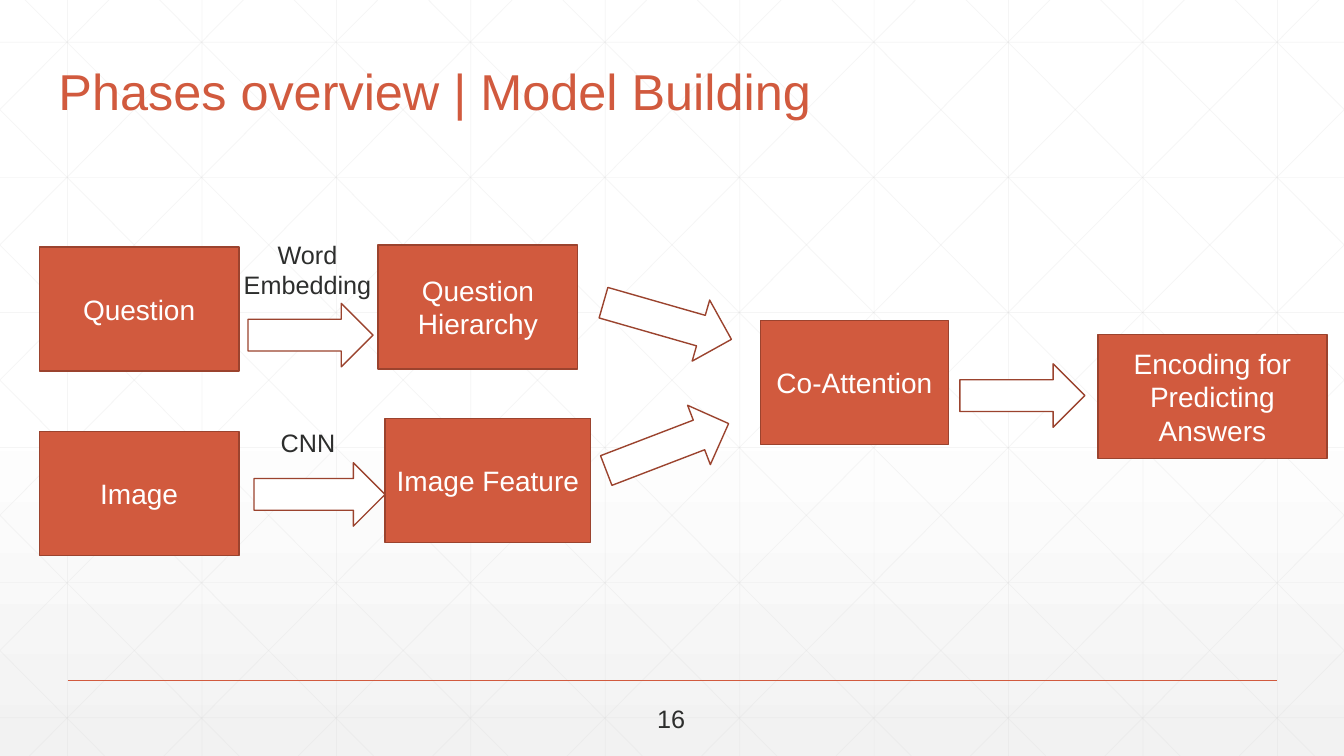
from pptx import Presentation
from pptx.dml.color import RGBColor
from pptx.enum.shapes import MSO_CONNECTOR as Conn, MSO_SHAPE as Shape
from pptx.enum.text import MSO_ANCHOR as Anchor, MSO_AUTO_SIZE as Fit, PP_ALIGN as Align
from pptx.util import Inches, Pt
from lxml import etree

WIDE, HIGH = 13.33, 7.5
FONT = "Arial"
RUST, BROWN, WHITE, DARK, GREY = "D15A3E", "9B432E", "FFFFFF", "2D2E2D", "D9D9D9"
NS = "http://schemas.openxmlformats.org/drawingml/2006/main"


def color(code):
    return RGBColor.from_string(code)


def place(*sizes):
    return [Inches(size) for size in sizes]


def write(frame, words, size, code, align=Align.CENTER):
    para = frame.paragraphs[0]
    para.alignment = align
    run = para.add_run()
    run.text = words
    run.font.name = FONT
    run.font.size = Pt(size)
    run.font.color.rgb = color(code)
    return para


def add_line(shapes, start, end, code, width, alpha=None):
    line = shapes.add_connector(Conn.STRAIGHT, *place(*start, *end))
    line.line.color.rgb = color(code)
    line.line.width = Pt(width)
    if alpha:
        tone = line.element.find(f".//{{{NS}}}srgbClr")
        etree.SubElement(tone, f"{{{NS}}}alpha", val=str(alpha * 1000))
    etree.SubElement(line.element.spPr, f"{{{NS}}}effectLst")


def add_block(shapes, kind, box, fill):
    block = shapes.add_shape(kind, *place(*box))
    block.shadow.inherit = False
    block.fill.solid()
    block.fill.fore_color.rgb = color(fill)
    block.line.color.rgb = color(BROWN)
    block.line.width = Pt(1)
    return block


def add_step(shapes, words, box):
    frame = add_block(shapes, Shape.RECTANGLE, box, RUST).text_frame
    frame.word_wrap = True
    frame.vertical_anchor = Anchor.MIDDLE
    write(frame, words, 20, WHITE)


def add_arrow(shapes, box, turn=0):
    add_block(shapes, Shape.RIGHT_ARROW, box, WHITE).rotation = turn


def add_label(shapes, words, box, wrap=True, align=Align.CENTER):
    frame = shapes.add_textbox(*place(*box)).text_frame
    frame.word_wrap = wrap
    frame.auto_size = Fit.SHAPE_TO_FIT_TEXT
    write(frame, words, 18, DARK, align)


def set_back(slide):
    fill = slide.background.fill
    fill.gradient()
    fill.gradient_angle = 270
    for stop, (spot, code) in zip(fill.gradient_stops, [(0.53, WHITE), (1, "F2F2F2")]):
        stop.position = spot
        stop.color.rgb = color(code)


def add_grid(slide):
    grid = slide.shapes.add_group_shape()
    pitch = 4 / 3
    lines = []
    for col in range(10):
        x = 0.67 + col * pitch
        lines.append(((x, 0), (x, HIGH)))
    for row in range(6):
        y = 0.42 + row * 1.34
        lines.append(((0, y), (WIDE, y)))
    # Diagonals are clipped to the slide, then mirrored
    slope = HIGH / 7.455
    for step in range(-5, 10):
        base = 0.25 + step * pitch
        left, right = max(base, 0), min(base + 7.455, WIDE)
        top, foot = (left - base) * slope, (right - base) * slope
        lines.append(((left, top), (right, foot)))
        lines.append(((WIDE - left, top), (WIDE - right, foot)))
    for start, end in lines:
        add_line(grid.shapes, start, end, GREY, 0.5, 25)
    return grid


def set_title(title, words):
    title.left, title.top, title.width, title.height = place(0.48, 0.53, 10.5, 1.25)
    frame = title.text_frame
    frame.word_wrap = True
    frame.auto_size = Fit.NONE
    frame.vertical_anchor = Anchor.BOTTOM
    frame.margin_bottom = Inches(0.57)
    write(frame, words, 36, RUST, Align.LEFT).line_spacing = 0.9


def main():
    deck = Presentation()
    deck.slide_width, deck.slide_height = place(WIDE, HIGH)
    slide = deck.slides.add_slide(deck.slide_layouts[5])
    shapes = slide.shapes

    # Backdrop, with the title in front of the grid
    set_back(slide)
    grid = add_grid(slide)
    add_line(shapes, (0.67, 6.75), (12.67, 6.75), RUST, 1)
    title = shapes.title
    grid.element.addnext(title.element)
    set_title(title, "Phases overview | Model Building")

    # Model steps: left, top, width
    tall = 1.23
    for words, left, top, width in [
        ("Question", 0.39, 2.45, 1.98),
        ("Image", 0.39, 4.28, 1.98),
        ("Question Hierarchy", 3.75, 2.43, 1.98),
        ("Image Feature", 3.82, 4.15, 2.04),
        ("Co-Attention", 7.54, 3.18, 1.87),
        ("Encoding for Predicting Answers", 10.89, 3.32, 2.27),
    ]:
        add_step(shapes, words, (left, top, width, tall))

    # Arrows between steps: left, top, width, turn
    for left, top, width, turn in [
        (2.46, 3.01, 1.24, 0),
        (2.52, 4.59, 1.3, 0),
        (5.96, 2.87, 1.32, 16),
        (5.97, 4.12, 1.3, 339),
        (9.52, 3.61, 1.24, 0),
    ]:
        add_arrow(shapes, (left, top, width, 0.63), turn)

    # Arrow labels and page number
    add_label(shapes, "Word Embedding", (2.15, 2.32, 1.8, 0.71))
    add_label(shapes, "CNN", (2.3, 4.19, 1.51, 0.4))
    add_label(shapes, "16", (6.42, 6.93, 0.48, 0.4), False, Align.LEFT)

    deck.save("out.pptx")


main()
